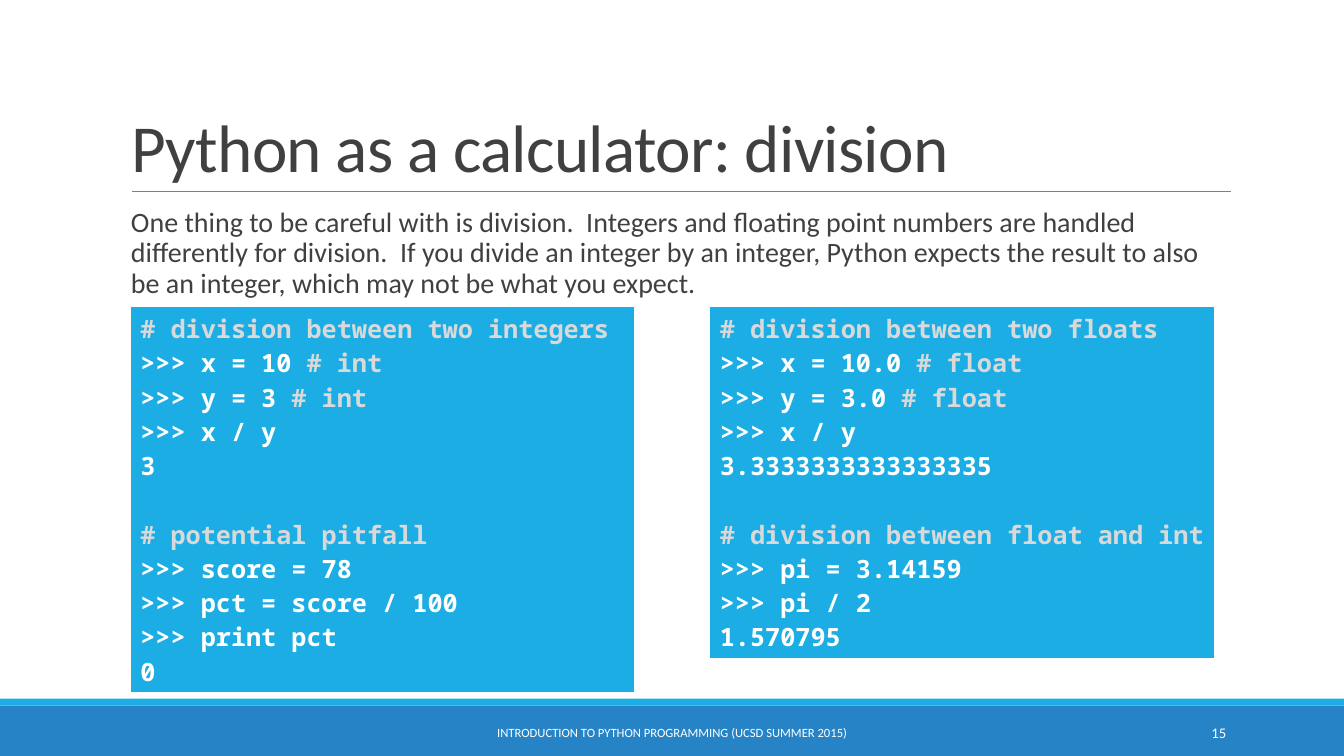
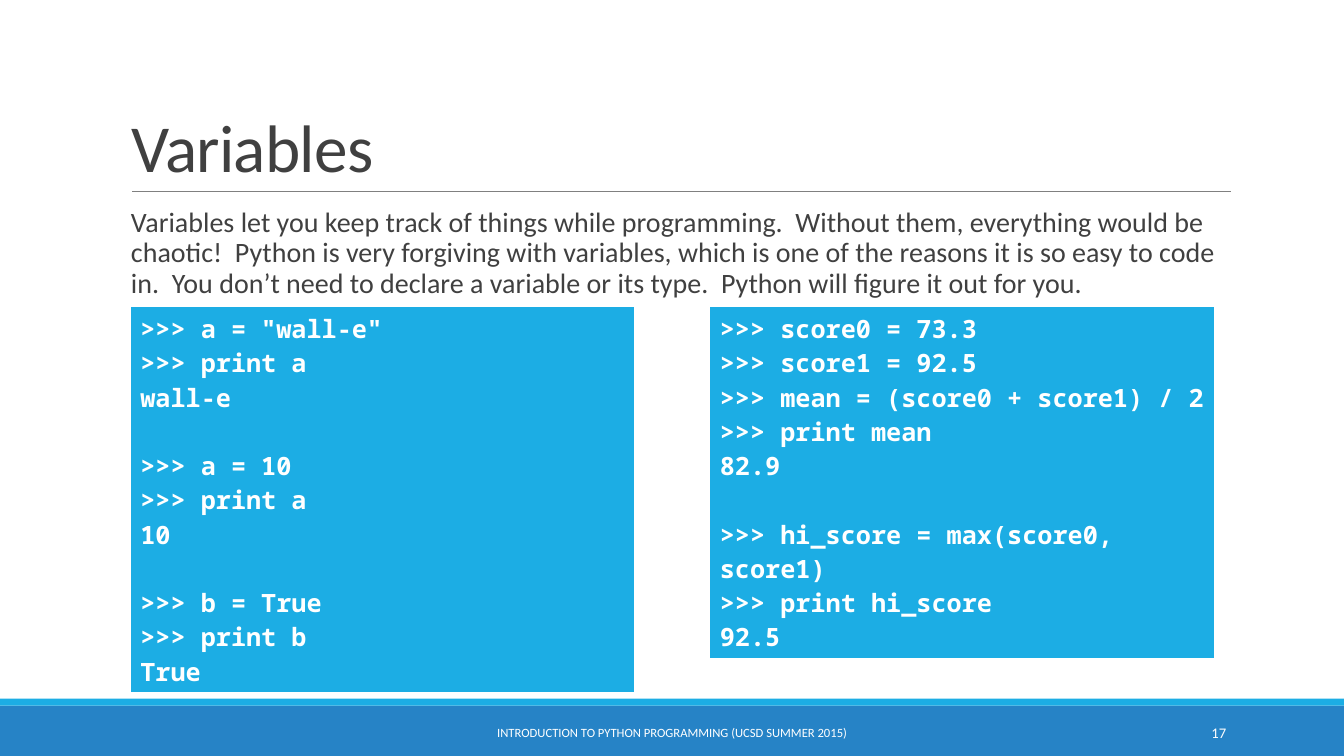
"""Build two slides on Python basics with code panels."""
from math import ceil

from lxml import etree
from pptx import Presentation
from pptx.dml.color import RGBColor
from pptx.enum import shapes, text
from pptx.oxml.ns import qn
from pptx.util import Pt

WHITE = RGBColor(0xFF, 0xFF, 0xFF)
INK = RGBColor(0x40, 0x40, 0x40)
RULE = RGBColor(0x80, 0x80, 0x80)
PALE = RGBColor(0xD9, 0xD9, 0xD9)
SKY = RGBColor(0x1C, 0xAD, 0xE4)
BLUE = RGBColor(0x26, 0x83, 0xC6)

WIDE, HIGH = 960, 540
BANDS = [(504, 36, BLUE), (499, 5, SKY)]
LEFTS = (93, 507)
TOP, SPAN, LINE, PAD, CHARS = 219, 360.3, 24.4, 7.2, 32
FOOTER = "INTRODUCTION TO PYTHON PROGRAMMING (UCSD SUMMER 2015)"

TITLE = dict(name="Calibri", size=Pt(48), color=INK)
BODY = dict(name="Calibri", size=Pt(20), color=INK)
NUMBER = dict(name="Calibri", size=Pt(10.5), color=WHITE)
FOOT = dict(name="Calibri", size=Pt(9), color=WHITE)
CODE = dict(name="Noto Sans Mono", size=Pt(18), bold=True, color=WHITE)
NOTE = dict(CODE, color=PALE)

SLIDES = [
    dict(
        title="Python as a calculator: division",
        body="One thing to be careful with is division.  Integers and floating "
             "point numbers are handled differently for division.  If you divide "
             "an integer by an integer, Python expects the result to also be an "
             "integer, which may not be what you expect.",
        number="15",
        panels=[
            [["# division between two integers", ">>> x = 10 # int",
              ">>> y = 3 # int", ">>> x / y", "3"],
             ["# potential pitfall", ">>> score = 78",
              ">>> pct = score / 100", ">>> print pct", "0"]],
            [["# division between two floats", ">>> x = 10.0 # float",
              ">>> y = 3.0 # float", ">>> x / y", "3.3333333333333335"],
             ["# division between float and int", ">>> pi = 3.14159",
              ">>> pi / 2", "1.570795"]],
        ],
    ),
    dict(
        title="Variables",
        body="Variables let you keep track of things while programming.  Without "
             "them, everything would be chaotic!  Python is very forgiving with "
             "variables, which is one of the reasons it is so easy to code in.  "
             "You don’t need to declare a variable or its type.  Python will "
             "figure it out for you.",
        number="17",
        panels=[
            [['>>> a = "wall-e"', ">>> print a", "wall-e"],
             [">>> a = 10", ">>> print a", "10"],
             [">>> b = True", ">>> print b", "True"]],
            [[">>> score0 = 73.3", ">>> score1 = 92.5",
              ">>> mean = (score0 + score1) / 2", ">>> print mean", "82.9"],
             [">>> hi_score = max(score0, score1)", ">>> print hi_score",
              "92.5"]],
        ],
    ),
]


def add_run(para, words, style):
    run = para.add_run()
    run.text = words
    for key, value in style.items():
        if key == "color":
            run.font.color.rgb = value
        else:
            setattr(run.font, key, value)
    return run


def add_text(slide, place, words, style, anchor="TOP", align="LEFT", space=1.0):
    frame = slide.shapes.add_textbox(*map(Pt, place)).text_frame
    frame.word_wrap = True
    frame.vertical_anchor = getattr(text.MSO_ANCHOR, anchor)
    para = frame.paragraphs[0]
    para.alignment = getattr(text.PP_ALIGN, align)
    para.line_spacing = space
    return frame, add_run(para, words, style)


def add_frame(slide):
    for top, height, color in BANDS:
        band = slide.shapes.add_shape(
            shapes.MSO_SHAPE.RECTANGLE, 0, Pt(top), Pt(WIDE), Pt(height))
        band.shadow.inherit = False
        band.fill.solid()
        band.fill.fore_color.rgb = color
        band.line.fill.background()
    rule = slide.shapes.add_connector(
        shapes.MSO_CONNECTOR.STRAIGHT, Pt(94.5), Pt(136.8), Pt(879), Pt(136.8))
    rule.line.color.rgb = RULE
    rule.line.width = Pt(0.5)
    etree.SubElement(rule._element.spPr, qn("a:effectLst"))


def add_panel(slide, left, blocks):
    rows = sum(ceil(len(line) / CHARS) for block in blocks for line in block)
    height = (rows + len(blocks) - 1) * LINE + PAD
    table = slide.shapes.add_table(
        1, 1, Pt(left), Pt(TOP), Pt(SPAN), Pt(height)).table
    cell = table.cell(0, 0)
    cell.fill.solid()
    cell.fill.fore_color.rgb = SKY
    frame = cell.text_frame
    for part, block in enumerate(blocks):
        for row, line in enumerate(block):
            first = part == row == 0
            para = frame.paragraphs[0] if first else frame.add_paragraph()
            if part and not row:
                para.space_before = Pt(LINE)
            code, mark, note = line.partition("#")
            for words, style in ((code, CODE), (mark + note, NOTE)):
                if words:
                    add_run(para, words, style)


def add_slide(deck, item):
    slide = deck.slides.add_slide(deck.slide_layouts[6])
    add_frame(slide)
    _, run = add_text(slide, (86.8, 22.4, 792, 114.4), item["title"], TITLE,
                      anchor="BOTTOM", space=0.85)
    run.font._element.set("spc", "-50")
    frame, _ = add_text(slide, (93.6, 145.4, 784.8, 72), item["body"], BODY,
                        space=0.9)
    frame.margin_left = frame.margin_right = 0
    for left, blocks in zip(LEFTS, item["panels"]):
        add_panel(slide, left, blocks)
    add_text(slide, (780, 508.8, 103, 28.8), item["number"], NUMBER,
             anchor="MIDDLE", align="RIGHT")
    add_text(slide, (290, 508.8, 380, 28.8), FOOTER, FOOT,
             anchor="MIDDLE", align="CENTER")


def main():
    deck = Presentation()
    deck.slide_width, deck.slide_height = Pt(WIDE), Pt(HIGH)
    for item in SLIDES:
        add_slide(deck, item)
    deck.save("out.pptx")


if __name__ == "__main__":
    main()
